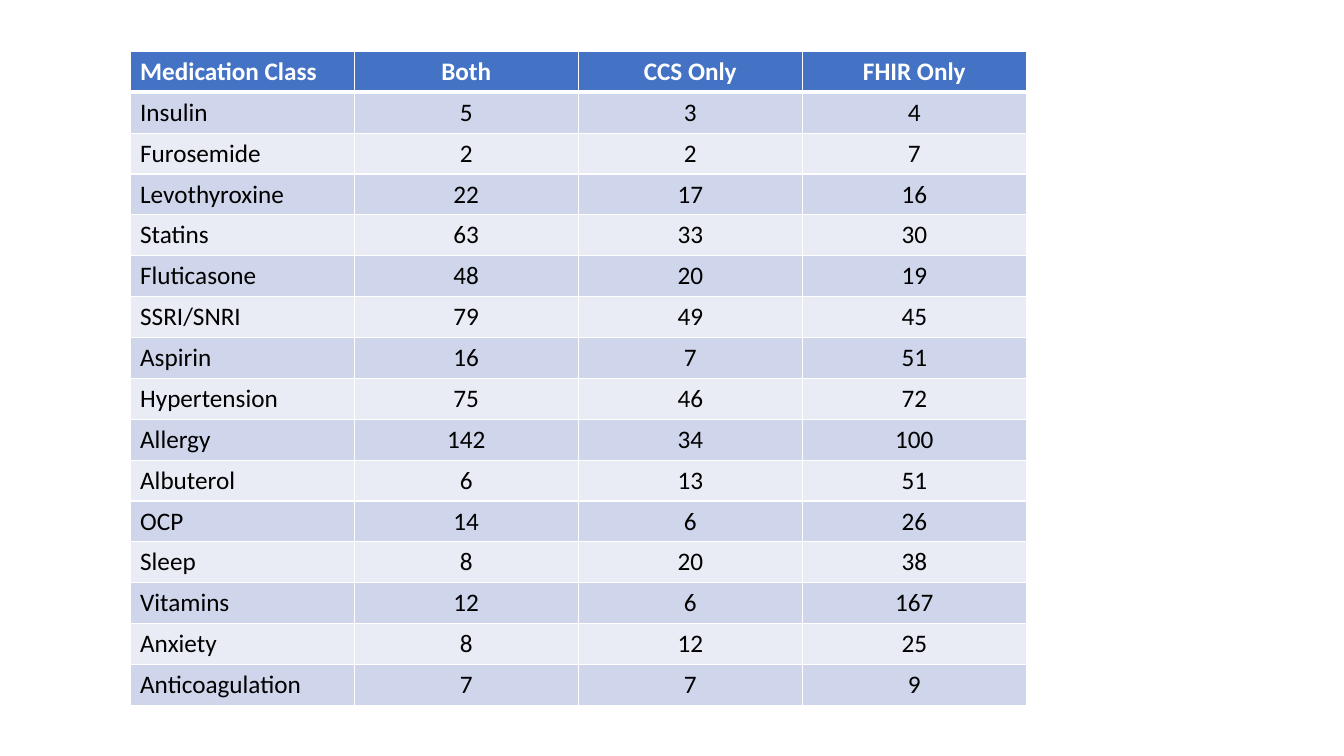
from lxml.etree import SubElement
from pptx import Presentation
from pptx.dml.color import RGBColor
from pptx.enum.text import PP_ALIGN
from pptx.oxml.ns import qn
from pptx.util import Inches, Pt

COLORS = {
    "header": "4472C4",
    "odd_row": "CFD5EA",
    "even_row": "E9EBF5",
    "border": "FFFFFF",
    "header_text": "FFFFFF",
    "body_text": "000000",
}
THIN, THICK = Pt(1), Pt(3)

MEDICATIONS = [
    ("Medication Class", "Both", "CCS Only", "FHIR Only"),
    ("Insulin", 5, 3, 4),
    ("Furosemide", 2, 2, 7),
    ("Levothyroxine", 22, 17, 16),
    ("Statins", 63, 33, 30),
    ("Fluticasone", 48, 20, 19),
    ("SSRI/SNRI", 79, 49, 45),
    ("Aspirin", 16, 7, 51),
    ("Hypertension", 75, 46, 72),
    ("Allergy", 142, 34, 100),
    ("Albuterol", 6, 13, 51),
    ("OCP", 14, 6, 26),
    ("Sleep", 8, 20, 38),
    ("Vitamins", 12, 6, 167),
    ("Anxiety", 8, 12, 25),
    ("Anticoagulation", 7, 7, 9),
]


def set_borders(cell, widths):
    """Draw solid cell borders; widths maps a:tcPr line tags to lengths."""
    properties = cell._tc.get_or_add_tcPr()
    for tag, width in widths.items():
        line = SubElement(properties, qn(tag), w=str(int(width)))
        fill = SubElement(line, qn("a:solidFill"))
        SubElement(fill, qn("a:srgbClr"), val=COLORS["border"])


def format_cell(cell, value, row, column):
    is_header = row == 0
    set_borders(cell, {
        "a:lnL": THIN,
        "a:lnR": THIN,
        "a:lnT": THICK if row == 1 else THIN,
        "a:lnB": THICK if is_header else THIN,
    })
    band = "header" if is_header else "odd_row" if row % 2 else "even_row"
    cell.fill.solid()
    cell.fill.fore_color.rgb = RGBColor.from_string(COLORS[band])

    cell.text = str(value)
    paragraph = cell.text_frame.paragraphs[0]
    paragraph.alignment = PP_ALIGN.CENTER if column else PP_ALIGN.LEFT
    font = paragraph.runs[0].font
    font_format = {"name": "Calibri", "size": Pt(18), "bold": is_header}
    for attribute, setting in font_format.items():
        setattr(font, attribute, setting)
    text_color = COLORS["header_text" if is_header else "body_text"]
    font.color.rgb = RGBColor.from_string(text_color)


def add_medication_table(slide, left, top, width, height):
    row_count, column_count = len(MEDICATIONS), len(MEDICATIONS[0])
    table = slide.shapes.add_table(
        row_count, column_count, left, top, width, height).table
    for row, values in enumerate(MEDICATIONS):
        for column, value in enumerate(values):
            format_cell(table.cell(row, column), value, row, column)


def main():
    presentation = Presentation()
    presentation.slide_width = Inches(13.33)
    presentation.slide_height = Inches(7.5)
    slide = presentation.slides.add_slide(presentation.slide_layouts[6])
    add_medication_table(
        slide, Inches(1.29), Inches(0.51), Inches(8.89), Inches(6.49))
    presentation.save("out.pptx")


if __name__ == "__main__":
    main()
